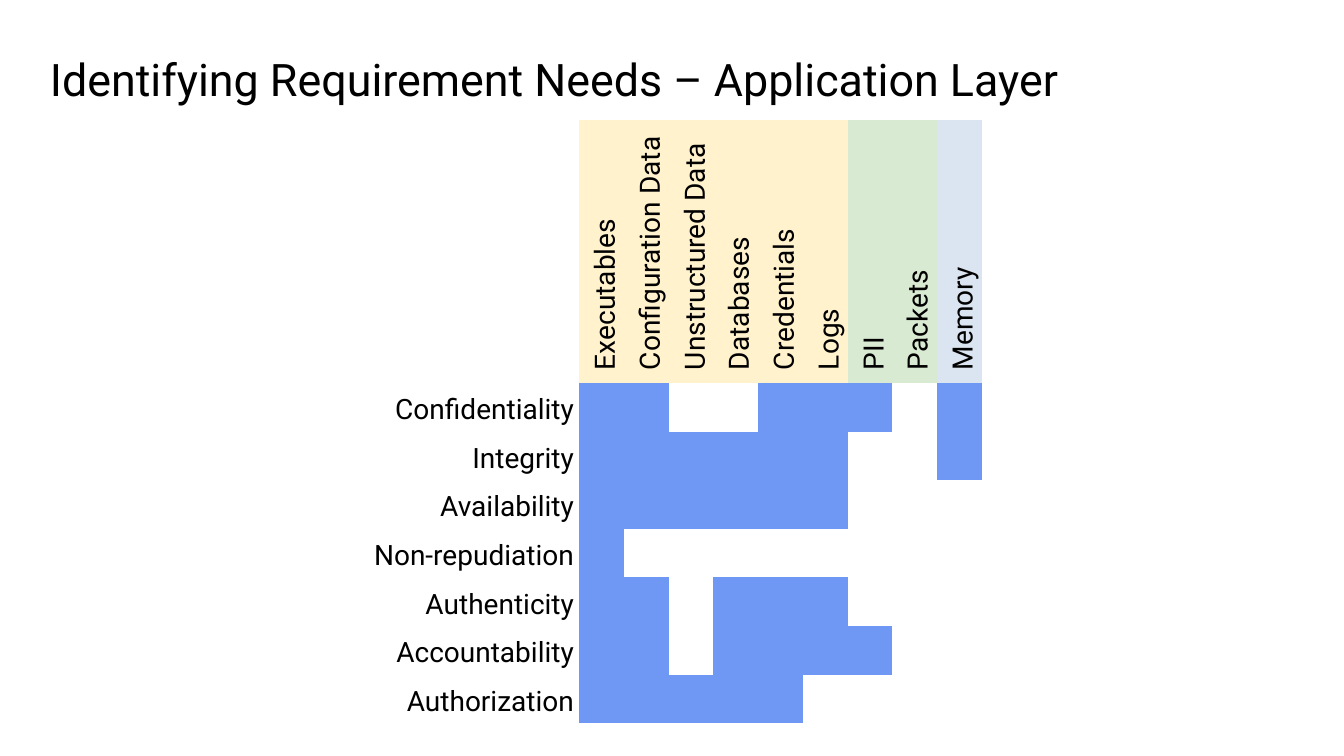
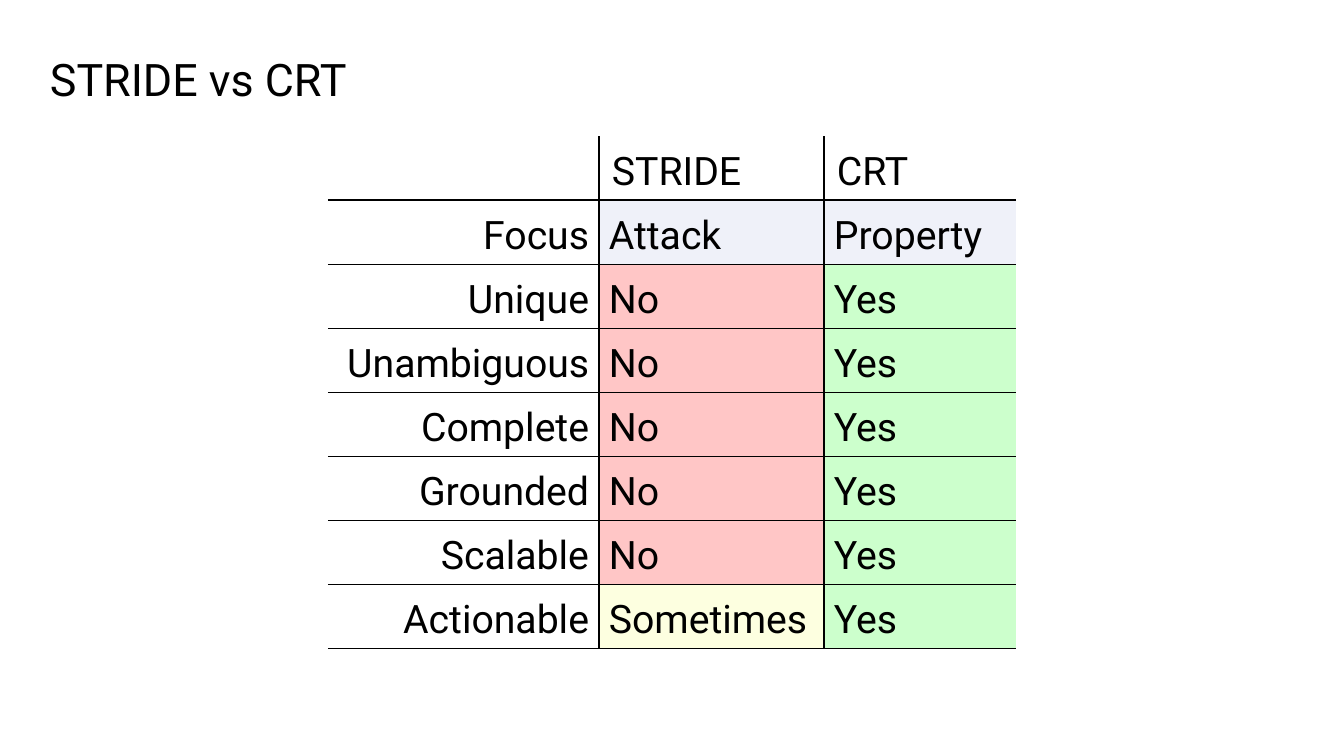
from lxml.etree import SubElement
from pptx import Presentation
from pptx.dml.color import RGBColor
from pptx.enum.text import MSO_ANCHOR as Anchor, PP_ALIGN as Align
from pptx.oxml.ns import qn
from pptx.util import Pt

BLACK = RGBColor(0x00, 0x00, 0x00)
SAND = RGBColor(0xFF, 0xF2, 0xCC)
SAGE = RGBColor(0xD9, 0xEA, 0xD3)
MIST = RGBColor(0xDB, 0xE5, 0xF1)
BLUE = RGBColor(0x6F, 0x97, 0xF4)
PALE_BLUE = RGBColor(0xEF, 0xF1, 0xF9)
RED = RGBColor(0xFF, 0xC6, 0xC6)
GREEN = RGBColor(0xCC, 0xFF, 0xCC)
YELLOW = RGBColor(0xFD, 0xFF, 0xE0)

FONT = "Roboto"
PLAIN_TABLE = "{2D5ABB26-0587-4C30-8999-92F81FD0307C}"
INDENT = 8

ASSETS = [
    ("Executables", SAND), ("Configuration Data", SAND), ("Unstructured Data", SAND),
    ("Databases", SAND), ("Credentials", SAND), ("Logs", SAND),
    ("PII", SAGE), ("Packets", SAGE), ("Memory", MIST),
]
NEEDS = [
    ("Confidentiality", "110011101"),
    ("Integrity", "111111001"),
    ("Availability", "111111000"),
    ("Non-repudiation", "100000000"),
    ("Authenticity", "110111000"),
    ("Accountability", "110111100"),
    ("Authorization", "111110000"),
]
COMPARISON = [
    ("Focus", "Attack", "Property"),
    ("Unique", "No", "Yes"),
    ("Unambiguous", "No", "Yes"),
    ("Complete", "No", "Yes"),
    ("Grounded", "No", "Yes"),
    ("Scalable", "No", "Yes"),
    ("Actionable", "Sometimes", "Yes"),
]
ANSWER_FILLS = {
    "Attack": PALE_BLUE, "Property": PALE_BLUE,
    "No": RED, "Yes": GREEN, "Sometimes": YELLOW,
}


def px(n):
    return round(n * 914400 / 100.8)


def split(total, count):
    edges = [round(total * i / count) for i in range(count + 1)]
    return [b - a for a, b in zip(edges, edges[1:])]


class Deck:
    def __init__(self):
        self.prs = Presentation()
        self.prs.slide_width, self.prs.slide_height = px(1344), px(756)
        self.s = None

    def slide(self, title):
        self.s = self.prs.slides.add_slide(self.prs.slide_layouts[6])
        tf = self.s.shapes.add_textbox(px(50), px(50), px(1243), px(57)).text_frame
        tf.word_wrap = True
        tf.vertical_anchor = Anchor.MIDDLE
        tf.margin_left = tf.margin_right = tf.margin_top = tf.margin_bottom = 0
        self.text(tf, title, 32)

    def text(self, tf, text, size, align=Align.LEFT, spacing=1.0, indent=0):
        p = tf.paragraphs[0]
        p.text = text
        p.alignment = align
        p.line_spacing = spacing
        if indent:
            p._p.get_or_add_pPr().set("marL", str(px(indent)))
        p.font.name, p.font.size, p.font.color.rgb = FONT, Pt(size), BLACK

    def table(self, left, top, widths, heights):
        shape = self.s.shapes.add_table(
            len(heights), len(widths), px(left), px(top), px(sum(widths)), px(sum(heights)))
        table = shape.table
        table.first_row = table.horz_banding = False
        table._tbl.tblPr.find(qn("a:tableStyleId")).text = PLAIN_TABLE
        for column, width in zip(table.columns, widths):
            column.width = px(width)
        for row, height in zip(table.rows, heights):
            row.height = px(height)
        return table

    def cell(self, cell, text="", size=20, fill=None, align=Align.LEFT,
             indent=0, left=5, right=5, vertical=False, borders=""):
        cell.margin_left, cell.margin_right = px(left), px(right)
        cell.margin_top = cell.margin_bottom = px(5)
        cell.vertical_anchor = Anchor.BOTTOM
        tcPr = cell._tc.get_or_add_tcPr()
        if vertical:
            tcPr.set("vert", "vert270")
        for side in borders:
            ln = SubElement(tcPr, qn(f"a:ln{side}"), w=str(Pt(1)))
            SubElement(SubElement(ln, qn("a:solidFill")), qn("a:srgbClr"), val=str(BLACK))
        if fill is None:
            cell.fill.background()
        else:
            cell.fill.solid()
            cell.fill.fore_color.rgb = fill
        if text:
            self.text(cell.text_frame, text, size, align, 1.15, indent)


def add_needs(deck):
    deck.slide("Identifying Requirement Needs – Application Layer")
    table = deck.table(362, 120, [217] + split(403, len(ASSETS)), [263] + [48] * len(NEEDS))
    deck.cell(table.cell(0, 0))
    for c, (asset, fill) in enumerate(ASSETS, 1):
        deck.cell(table.cell(0, c), asset, fill=fill, indent=INDENT, vertical=True)
    for r, (need, marks) in enumerate(NEEDS, 1):
        deck.cell(table.cell(r, 0), need, align=Align.RIGHT)
        for c, mark in enumerate(marks, 1):
            deck.cell(table.cell(r, c), fill=BLUE if mark == "1" else None)


def add_comparison(deck):
    deck.slide("STRIDE vs CRT")
    rows = [("", "STRIDE", "CRT")] + COMPARISON
    table = deck.table(328, 136, [271, 225, 192], [63] * len(rows))
    for r, row in enumerate(rows):
        for c, text in enumerate(row):
            borders = ("L" if c else "") + ("R" if c < 2 else "") + ("T" if r else "") + "B"
            if r == 0:
                style = dict(indent=INDENT)
            elif c == 0:
                style = dict(align=Align.RIGHT, right=10)
            else:
                style = dict(left=10, fill=ANSWER_FILLS[text])
            deck.cell(table.cell(r, c), text, 28, borders=borders, **style)


def main():
    deck = Deck()
    add_needs(deck)
    add_comparison(deck)
    deck.prs.save("out.pptx")


if __name__ == "__main__":
    main()
